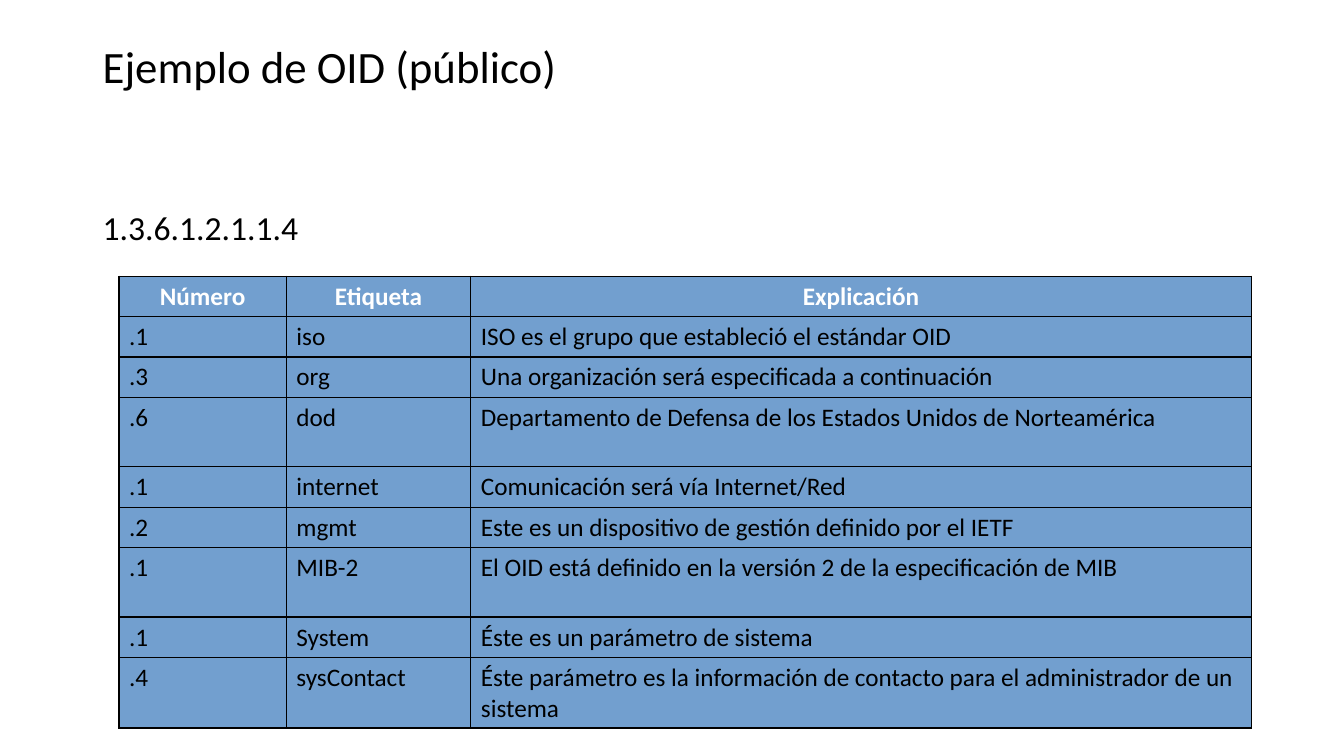
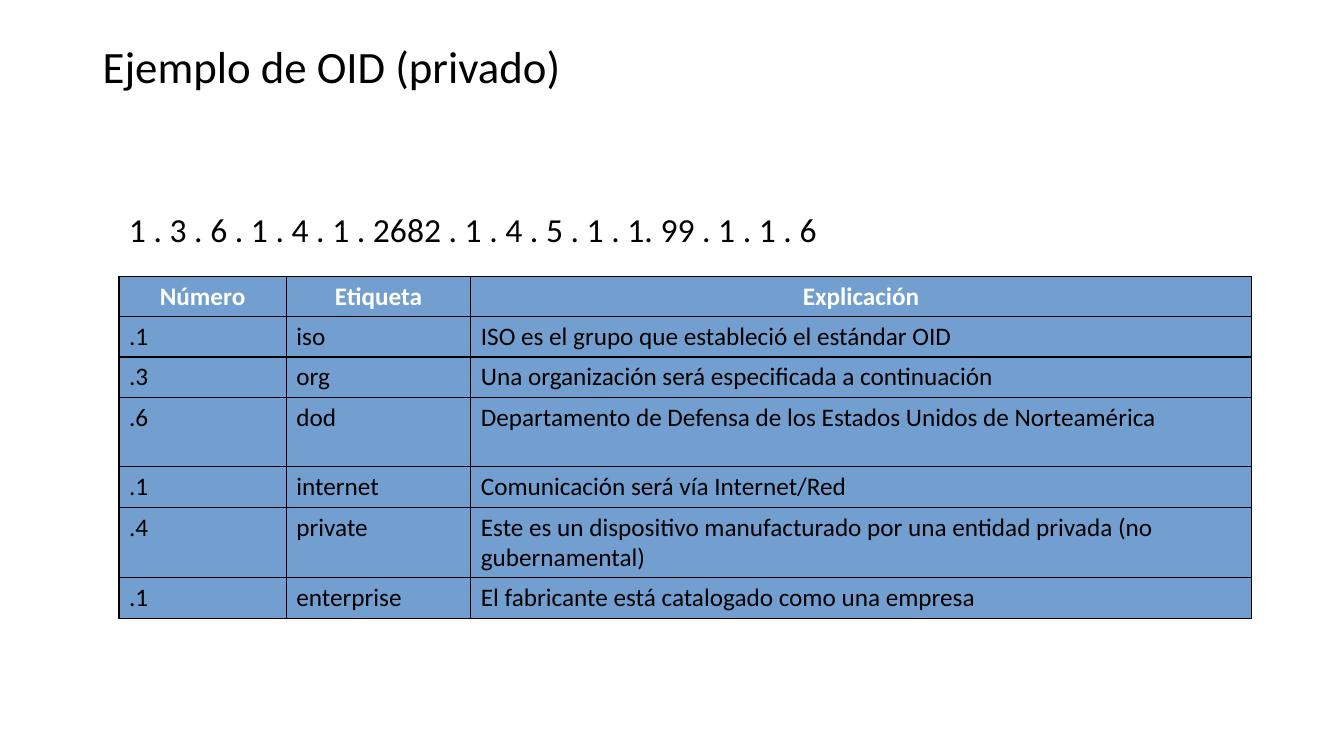
from pptx import Presentation
from pptx.dml.color import RGBColor
from pptx.enum.text import MSO_ANCHOR as Anchor, PP_ALIGN as Align
from pptx.oxml import parse_xml
from pptx.oxml.ns import nsdecls
from pptx.util import Inches, Pt

BLACK, WHITE, BLUE = "000000", "FFFFFF", "729FCF"
FONT = "Calibri"
COLUMN_WIDTHS = (1.66, 1.83, 7.74)
ROW_HEIGHT, TALL_ROW_HEIGHT = 0.39, 0.69
TALL_ROW_CHARS = 60

HEADER = ("Número", "Etiqueta", "Explicación")
COMMON_ROWS = [
    (".1", "iso", "ISO es el grupo que estableció el estándar OID"),
    (".3", "org", "Una organización será especificada a continuación"),
    (".6", "dod", "Departamento de Defensa de los Estados Unidos de Norteamérica"),
    (".1", "internet", "Comunicación será vía Internet/Red"),
]
PUBLIC_ROWS = [
    (".2", "mgmt", "Este es un dispositivo de gestión definido por el IETF"),
    (".1", "MIB-2", "El OID está definido en la versión 2 de la especificación de MIB"),
    (".1", "System", "Éste es un parámetro de sistema"),
    (".4", "sysContact", "Éste parámetro es la información de contacto "
                         "para el administrador de un sistema"),
]
PRIVATE_ROWS = [
    (".4", "private", "Este es un dispositivo manufacturado por una entidad "
                      "privada (no gubernamental)"),
    (".1", "enterprise", "El fabricante está catalogado como una empresa"),
]


def rgb(color):
    return RGBColor.from_string(color)


class OidDeck:
    """Holds the shared style and the page being filled."""

    def __init__(self):
        self.deck = Presentation()
        self.deck.slide_width = Inches(13.33)
        self.deck.slide_height = Inches(7.5)
        self.page = None

    def add_page(self, title):
        self.page = self.deck.slides.add_slide(self.deck.slide_layouts[6])
        box = self.add_text(title, 0.92, 0.4, 11.5, 0.56, size=32)
        box.text_frame.vertical_anchor = Anchor.MIDDLE
        box.text_frame.paragraphs[0].line_spacing = 0.9

    def add_text(self, text, left, top, width, height, size=24):
        box = self.page.shapes.add_textbox(
            Inches(left), Inches(top), Inches(width), Inches(height))
        box.text_frame.word_wrap = True
        box.text_frame.text = text
        self.style_text(box.text_frame.paragraphs[0], size)
        return box

    def add_table(self, rows):
        """Draws the header and the rows; long explanations get a tall row."""
        lines = [HEADER, *rows]
        heights = [TALL_ROW_HEIGHT if len(line[-1]) >= TALL_ROW_CHARS else ROW_HEIGHT
                   for line in lines]
        table = self.page.shapes.add_table(
            len(lines), len(HEADER), Inches(1.18), Inches(2.74),
            Inches(sum(COLUMN_WIDTHS)), Inches(sum(heights))).table
        table.horz_banding = False
        for column, width in zip(table.columns, COLUMN_WIDTHS):
            column.width = Inches(width)
        for row, height, line in zip(table.rows, heights, lines):
            row.height = Inches(height)
            for cell, text in zip(row.cells, line):
                self.fill_cell(cell, text, is_header=line is HEADER)

    def fill_cell(self, cell, text, is_header):
        self.add_borders(cell)
        cell.fill.solid()
        cell.fill.fore_color.rgb = rgb(BLUE)
        cell.text_frame.text = text
        para = cell.text_frame.paragraphs[0]
        para.alignment = Align.CENTER if is_header else Align.LEFT
        self.style_text(para, 18, WHITE if is_header else BLACK, is_header)

    @staticmethod
    def add_borders(cell):
        properties = cell._tc.get_or_add_tcPr()
        for side in "LRTB":
            properties.append(parse_xml(
                f'<a:ln{side} {nsdecls("a")} w="{Pt(1)}"><a:solidFill>'
                f'<a:srgbClr val="{BLACK}"/></a:solidFill></a:ln{side}>'))

    @staticmethod
    def style_text(para, size, color=BLACK, bold=False):
        for span in para.runs:
            span.font.name = FONT
            span.font.size = Pt(size)
            span.font.bold = bold
            span.font.color.rgb = rgb(color)


def main():
    oid = OidDeck()

    oid.add_page("Ejemplo de OID (público)")
    oid.add_text("1.3.6.1.2.1.1.4", 0.92, 2, 11.5, 0.61)
    oid.add_table(COMMON_ROWS + PUBLIC_ROWS)

    oid.add_page("Ejemplo de OID (privado)")
    oid.add_text("1 . 3 . 6 . 1 . 4 . 1 . 2682 . 1 . 4 . 5 . 1 . 1. 99 . 1 . 1 . 6",
                 1.18, 2.02, 7.91, 0.61)
    oid.add_table(COMMON_ROWS + PRIVATE_ROWS)

    oid.deck.save("out.pptx")


if __name__ == "__main__":
    main()
